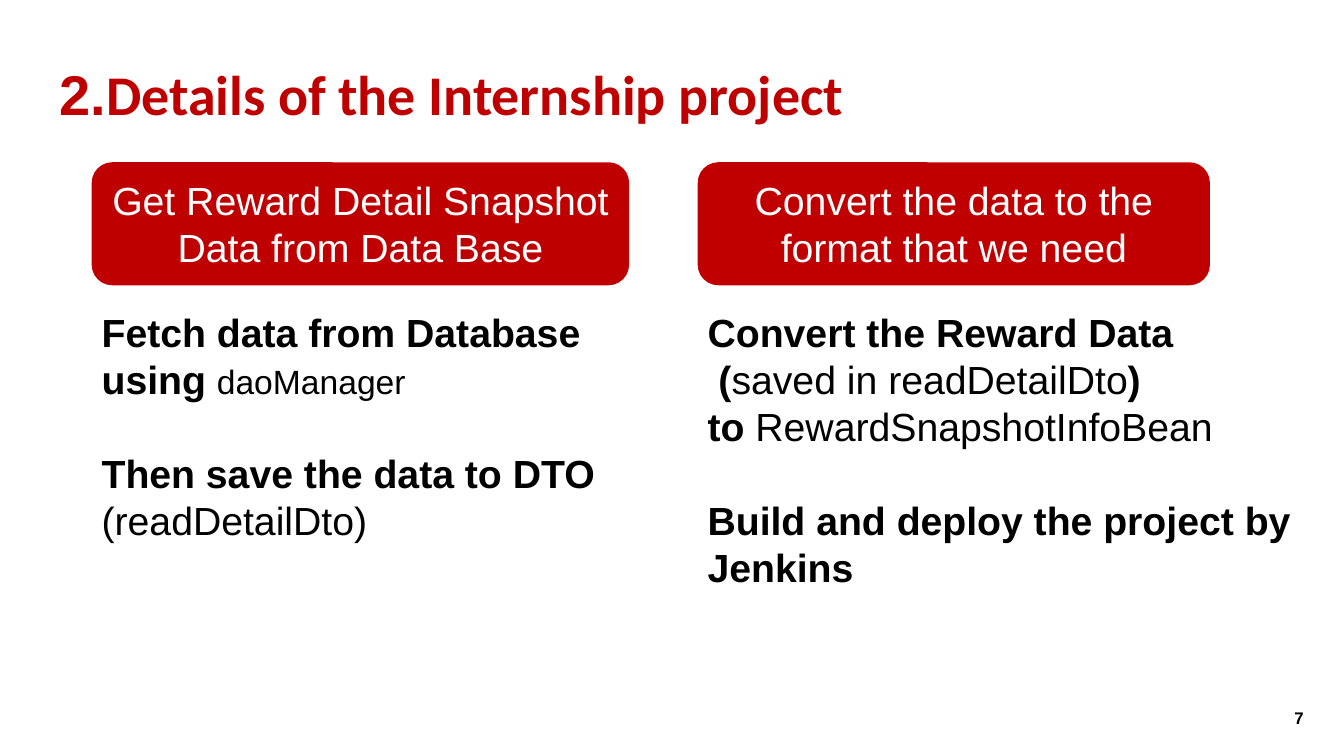
"""Build the slide on the details of the internship project."""
from pptx import Presentation
from pptx.dml.color import RGBColor
from pptx.enum.shapes import MSO_SHAPE
from pptx.enum.text import MSO_ANCHOR as Anchor, MSO_AUTO_SIZE as AutoSize, PP_ALIGN as Align
from pptx.util import Inches, Pt

COLORS = {"title": "BF0000", "text": "000000", "light": "FFFFFF"}
TITLE = [("2.", "Arial"), ("Details of the Internship project", "Calibri")]
PAGE_NUMBER = "7"
COLUMNS = [
    {
        "left": 0.91, "header_width": 5.33, "body_width": 5.76, "body_height": 2.46,
        "fill": "BF0000",
        "header": "Get Reward Detail Snapshot Data from Data Base",
        "blocks": [
            [[("Fetch data from Database", True, 28)],
             [("using ", True, 28), ("daoManager", False, 24)]],
            [[("Then save the data to DTO ", True, 28), ("(readDetailDto)", False, 28)]],
        ],
    },
    {
        "left": 6.92, "header_width": 5.08, "body_width": 6.03, "body_height": 3.87,
        "fill": "C00000",
        "header": "Convert the data to the format that we need",
        "blocks": [
            [[("Convert the Reward Data", True, 28)],
             [(" (", True, 28), ("saved in readDetailDto", False, 28), (")", True, 28)],
             [("to ", True, 28), ("RewardSnapshotInfoBean", False, 28)]],
            [[("Build and deploy the project by Jenkins", True, 28)]],
        ],
    },
]
HEADER_TOP, HEADER_HEIGHT, BODY_TOP = 1.61, 1.22, 3.01
BLOCK_GAP = 33.6


def style(font, size, color, bold=False, name="Arial"):
    font.name, font.size, font.bold = name, Pt(size), bold
    font.color.rgb = RGBColor.from_string(COLORS[color])


def set_frame(frame, anchor, margin=None):
    frame.word_wrap = True
    frame.auto_size = AutoSize.NONE
    frame.vertical_anchor = anchor
    if margin is not None:
        frame.margin_left = frame.margin_right = Inches(margin)
        frame.margin_top = frame.margin_bottom = Inches(margin)


def add_title(slide):
    title = slide.shapes.title
    title.left, title.top = Inches(0.51), Inches(0.39)
    title.width, title.height = Inches(10.94), Inches(1.07)
    set_frame(title.text_frame, Anchor.MIDDLE, 0.08)
    paragraph = title.text_frame.paragraphs[0]
    paragraph.alignment = Align.LEFT
    paragraph.space_after = Pt(8)
    for text, name in TITLE:
        run = paragraph.add_run()
        run.text = text
        style(run.font, 40, "title", True, name)


def add_header(slide, column):
    header = slide.shapes.add_shape(
        MSO_SHAPE.ROUNDED_RECTANGLE, Inches(column["left"]), Inches(HEADER_TOP),
        Inches(column["header_width"]), Inches(HEADER_HEIGHT))
    header.shadow.inherit = False
    header.fill.solid()
    header.fill.fore_color.rgb = RGBColor.from_string(column["fill"])
    header.line.fill.background()
    set_frame(header.text_frame, Anchor.MIDDLE)
    paragraph = header.text_frame.paragraphs[0]
    paragraph.text = column["header"]
    paragraph.alignment = Align.CENTER
    style(paragraph.font, 28, "light")


def add_body(slide, column):
    body = slide.shapes.add_textbox(
        Inches(column["left"]), Inches(BODY_TOP),
        Inches(column["body_width"]), Inches(column["body_height"]))
    frame = body.text_frame
    set_frame(frame, Anchor.TOP)
    paragraph = frame.paragraphs[0]
    for block_index, block in enumerate(column["blocks"]):
        for line_index, line in enumerate(block):
            if block_index or line_index:
                paragraph = frame.add_paragraph()
            if block_index and not line_index:
                paragraph.space_before = Pt(BLOCK_GAP)
            for text, bold, size in line:
                run = paragraph.add_run()
                run.text = text
                style(run.font, size, "text", bold)


def add_page_number(slide):
    box = slide.shapes.add_textbox(Inches(12.14), Inches(6.97), Inches(0.84), Inches(0.31))
    set_frame(box.text_frame, Anchor.MIDDLE, 0.05)
    paragraph = box.text_frame.paragraphs[0]
    paragraph.text = PAGE_NUMBER
    paragraph.alignment = Align.RIGHT
    style(paragraph.font, 12, "text", True)


def main():
    presentation = Presentation()
    presentation.slide_width, presentation.slide_height = Inches(13.33), Inches(7.5)
    slide = presentation.slides.add_slide(presentation.slide_layouts[5])
    add_title(slide)
    for column in COLUMNS:
        add_header(slide, column)
        add_body(slide, column)
    add_page_number(slide)
    presentation.save("out.pptx")


if __name__ == "__main__":
    main()
